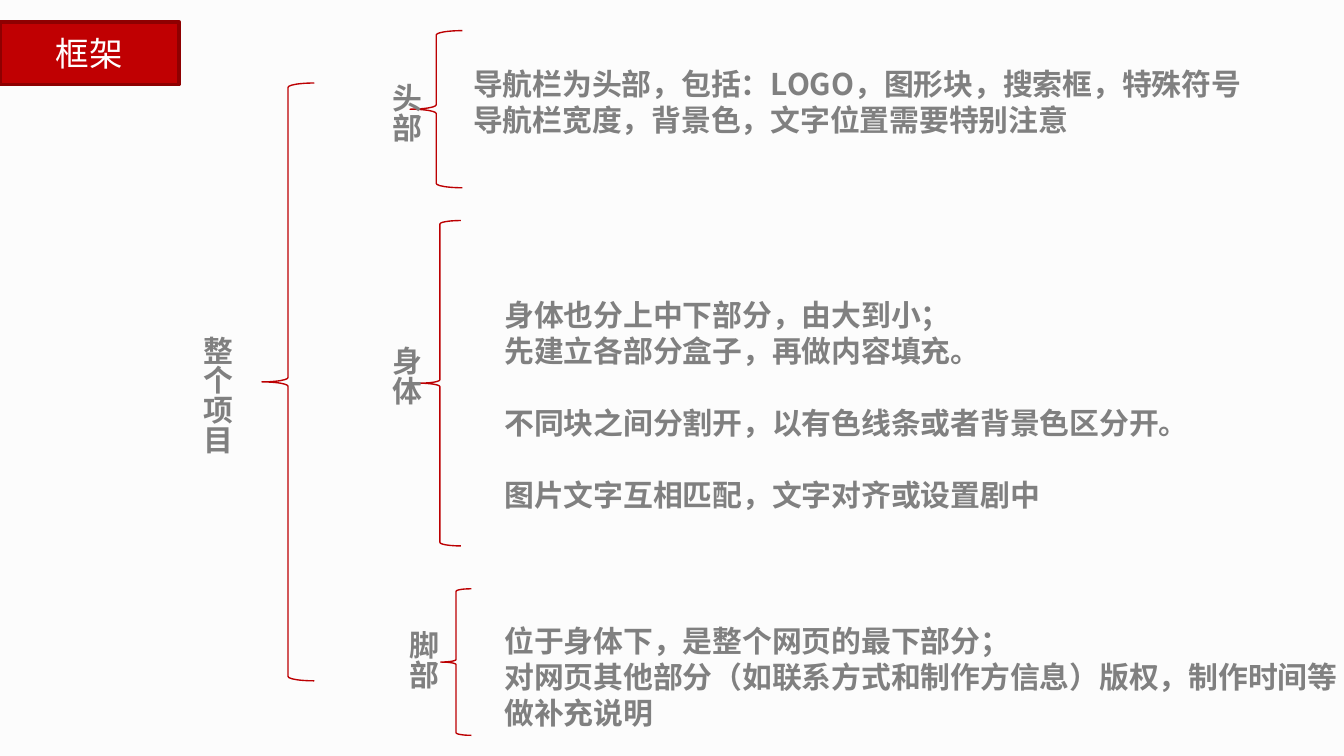
from dataclasses import dataclass

from lxml.etree import SubElement
from pptx import Presentation
from pptx.dml.color import RGBColor
from pptx.enum.shapes import MSO_SHAPE
from pptx.enum.text import MSO_ANCHOR, MSO_AUTO_SIZE, PP_ALIGN
from pptx.oxml.ns import qn
from pptx.shapes.base import BaseShape
from pptx.slide import Slide
from pptx.text.text import TextFrame, _Paragraph
from pptx.util import Cm, Pt

BACKGROUND = RGBColor(0xFC, 0xFC, 0xFC)
TITLE_FILL = RGBColor(0xC0, 0x00, 0x02)
TITLE_BORDER = RGBColor(0x8E, 0x00, 0x01)
BRACE_RED = RGBColor(0xBC, 0x00, 0x02)
TEXT_GRAY = RGBColor(0x80, 0x80, 0x80)
WHITE = RGBColor(0xFF, 0xFF, 0xFF)

TITLE_FONT = "Calibri"
BODY_FONT = "Noto Sans CJK SC"
BODY_SIZE = Pt(16)
LINE_PITCH = Pt(19.3)
LABEL_WIDTH = 0.69
CHARACTER_PITCH = 0.57


@dataclass(frozen=True)
class Box:
    """A rectangle in centimetres."""
    left: float
    top: float
    width: float
    height: float


@dataclass(frozen=True)
class Label:
    text: str
    left: float
    top: float


@dataclass(frozen=True)
class Notes:
    box: Box
    groups: tuple[tuple[str, ...], ...]


BRACES = (
    Box(4.95, 1.57, 0.99, 11.3),
    Box(7.75, 0.58, 0.99, 2.97),
    Box(7.92, 4.17, 0.79, 6.15),
    Box(8.33, 11.13, 0.58, 2.77),
)
LABELS = (
    Label("整个项目", 3.76, 6.35),
    Label("头部", 7.34, 1.57),
    Label("身体", 7.34, 6.55),
    Label("脚部", 7.65, 11.91),
)
SECTION_NOTES = (
    Notes(Box(8.94, 1.24, 14.73, 2.06), (
        ("导航栏为头部，包括：LOGO，图形块，搜索框，特殊符号",
         "导航栏宽度，背景色，文字位置需要特别注意"),
    )),
    Notes(Box(9.53, 5.61, 13.11, 4.11), (
        ("身体也分上中下部分，由大到小；", "先建立各部分盒子，再做内容填充。"),
        ("不同块之间分割开，以有色线条或者背景色区分开。",),
        ("图片文字互相匹配，文字对齐或设置剧中",),
    )),
    Notes(Box(9.53, 11.76, 16, 2.06), (
        ("位于身体下，是整个网页的最下部分；",
         "对网页其他部分（如联系方式和制作方信息）版权，制作时间等",
         "做补充说明"),
    )),
)


def place(shape: BaseShape, box: Box) -> None:
    shape.left, shape.top = Cm(box.left), Cm(box.top)
    shape.width, shape.height = Cm(box.width), Cm(box.height)


def prepare_frame(frame: TextFrame, anchor: MSO_ANCHOR) -> None:
    frame.margin_left = frame.margin_right = 0
    frame.margin_top = frame.margin_bottom = 0
    frame.word_wrap = True
    frame.auto_size = MSO_AUTO_SIZE.NONE
    frame.vertical_anchor = anchor


def write_line(paragraph: _Paragraph, text: str, space_before: int = 0) -> None:
    """Write one bold gray line without bullet or indent."""
    paragraph.alignment = PP_ALIGN.LEFT
    paragraph.line_spacing = LINE_PITCH
    paragraph.space_before = space_before
    properties = paragraph._p.get_or_add_pPr()
    properties.set("marL", "0")
    properties.set("indent", "0")
    SubElement(properties, qn("a:buNone"))
    run = paragraph.add_run()
    run.text = text
    run.font.size = BODY_SIZE
    run.font.bold = True
    run.font.color.rgb = TEXT_GRAY
    run.font.name = BODY_FONT
    SubElement(run._r.get_or_add_rPr(), qn("a:ea"), typeface=BODY_FONT)


def draw_brace(slide: Slide, box: Box) -> None:
    brace = slide.shapes.add_shape(
        MSO_SHAPE.LEFT_BRACE, Cm(box.left), Cm(box.top), Cm(box.width), Cm(box.height))
    brace.shadow.inherit = False
    brace.fill.background()
    brace.line.color.rgb = BRACE_RED
    brace.line.width = Pt(0.75)


def draw_label(slide: Slide, label: Label) -> None:
    """Draw a label whose characters run from top to bottom."""
    height = CHARACTER_PITCH * len(label.text) + 0.1
    column = slide.shapes.add_textbox(
        Cm(label.left), Cm(label.top), Cm(LABEL_WIDTH), Cm(height))
    frame = column.text_frame
    prepare_frame(frame, MSO_ANCHOR.TOP)
    frame._txBody.bodyPr.set("vert", "eaVert")
    write_line(frame.paragraphs[0], label.text)


def fill_notes(body: BaseShape, notes: Notes) -> None:
    """Write the groups with one line's height between them."""
    place(body, notes.box)
    frame = body.text_frame
    prepare_frame(frame, MSO_ANCHOR.TOP)
    paragraph = frame.paragraphs[0]
    for group_index, group in enumerate(notes.groups):
        for line_index, line in enumerate(group):
            if group_index or line_index:
                paragraph = frame.add_paragraph()
            starts_group = group_index > 0 and line_index == 0
            write_line(paragraph, line, LINE_PITCH if starts_group else 0)


def fill_title(title: BaseShape, text: str) -> None:
    place(title, Box(0, 0.41, 3.38, 1.19))
    geometry = SubElement(title._element.spPr, qn("a:prstGeom"), prst="roundRect")
    SubElement(geometry, qn("a:avLst"))
    title.fill.solid()
    title.fill.fore_color.rgb = TITLE_FILL
    title.line.color.rgb = TITLE_BORDER
    title.line.width = Pt(2)
    prepare_frame(title.text_frame, MSO_ANCHOR.MIDDLE)
    paragraph = title.text_frame.paragraphs[0]
    paragraph.alignment = PP_ALIGN.CENTER
    run = paragraph.add_run()
    run.text = text
    run.font.size = Pt(18)
    run.font.name = TITLE_FONT
    run.font.color.rgb = WHITE


def main() -> None:
    presentation = Presentation()
    presentation.slide_width, presentation.slide_height = Cm(25.4), Cm(14.29)
    comparison_layout = presentation.slide_layouts[4]
    slide = presentation.slides.add_slide(comparison_layout)
    slide.background.fill.solid()
    slide.background.fill.fore_color.rgb = BACKGROUND

    title, *bodies = slide.placeholders
    fill_title(title, "框架")
    for body, notes in zip(bodies, SECTION_NOTES):
        fill_notes(body, notes)
    for unused in bodies[len(SECTION_NOTES):]:
        unused._element.getparent().remove(unused._element)

    for brace in BRACES:
        draw_brace(slide, brace)
    for label in LABELS:
        draw_label(slide, label)
    presentation.save("out.pptx")


if __name__ == "__main__":
    main()
